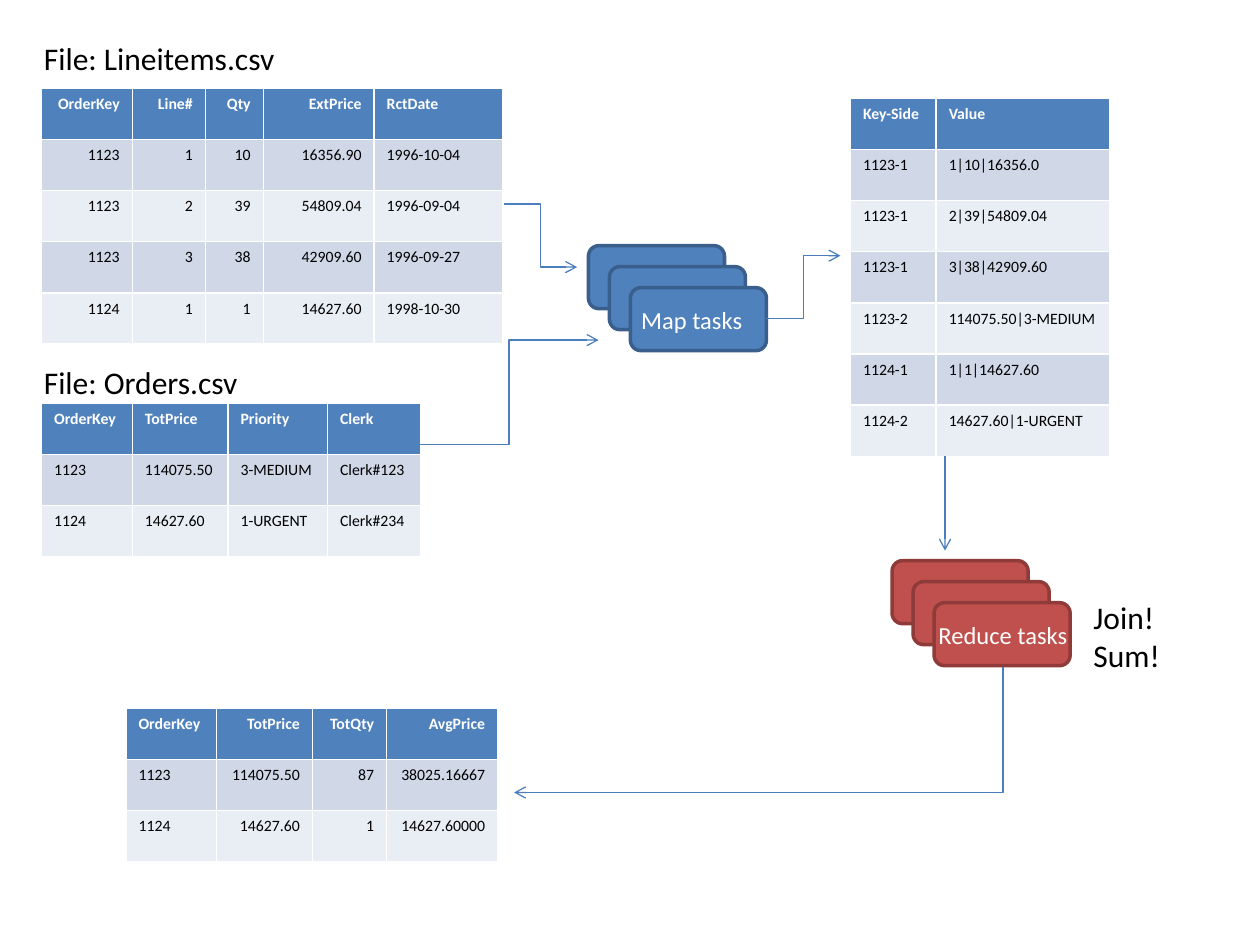
from pptx import Presentation
from pptx.dml.color import RGBColor
from pptx.enum import shapes, text
from pptx.oxml.ns import qn
from pptx.util import Inches, Pt
from lxml import etree

THEME = dict(
    font="Calibri", cell=9, label=14, heading=18,
    white=RGBColor.from_string("FFFFFF"), black=RGBColor.from_string("000000"),
    blue=RGBColor.from_string("4F81BD"), blue_edge=RGBColor.from_string("3A5F8C"),
    red=RGBColor.from_string("C0504D"), red_edge=RGBColor.from_string("8E3B39"),
    band=[RGBColor.from_string("D0D8E8"), RGBColor.from_string("E9EDF4")],
    arrow=RGBColor.from_string("4B7EBC"),
)

prs = Presentation()
prs.slide_width, prs.slide_height = Inches(10), Inches(7.5)
s = prs.slides.add_slide(prs.slide_layouts[6])


def style(p, size, color, bold=False):
    f = p.font
    f.name, f.size, f.bold = THEME["font"], Pt(size), bold
    f.color.rgb = color


def add_text(parent, box, words, size, color):
    tf = parent.add_textbox(*map(Inches, box)).text_frame
    tf.word_wrap = False
    tf.auto_size = text.MSO_AUTO_SIZE.SHAPE_TO_FIT_TEXT
    tf.paragraphs[0].text = words
    style(tf.paragraphs[0], size, color)


# Tables: position, column widths, column alignment, rows (header first)
ROW_HEIGHT = 13 / 32
tables = [
    (0.33, 0.7, [0.72, 0.58, 0.46, 0.88, 1.02], "rrrrl", [
        ["OrderKey", "Line#", "Qty", "ExtPrice", "RctDate"],
        ["1123", "1", "10", "16356.90", "1996-10-04"],
        ["1123", "2", "39", "54809.04", "1996-09-04"],
        ["1123", "3", "38", "42909.60", "1996-09-27"],
        ["1124", "1", "1", "14627.60", "1998-10-30"]]),
    (0.33, 3.2, [0.72, 0.76, 0.79, 0.74], "llll", [
        ["OrderKey", "TotPrice", "Priority", "Clerk"],
        ["1123", "114075.50", "3-MEDIUM", "Clerk#123"],
        ["1124", "14627.60", "1-URGENT", "Clerk#234"]]),
    (6.75, 0.78, [0.68, 1.38], "ll", [
        ["Key-Side", "Value"],
        ["1123-1", "1|10|16356.0"],
        ["1123-1", "2|39|54809.04"],
        ["1123-1", "3|38|42909.60"],
        ["1123-2", "114075.50|3-MEDIUM"],
        ["1124-1", "1|1|14627.60"],
        ["1124-2", "14627.60|1-URGENT"]]),
    (1, 5.62, [0.72, 0.76, 0.59, 0.88], "lrrr", [
        ["OrderKey", "TotPrice", "TotQty", "AvgPrice"],
        ["1123", "114075.50", "87", "38025.16667"],
        ["1124", "14627.60", "1", "14627.60000"]]),
]
for x, y, widths, aligns, rows in tables:
    tbl = s.shapes.add_table(len(rows), len(widths), Inches(x), Inches(y),
                             Inches(sum(widths)), Inches(len(rows) * ROW_HEIGHT)).table
    for col, width in zip(tbl.columns, widths):
        col.width = Inches(width)
    for i, row in enumerate(rows):
        for j, value in enumerate(row):
            cell = tbl.cell(i, j)
            cell.fill.solid()
            cell.fill.fore_color.rgb = THEME["band"][(i - 1) % 2] if i else THEME["blue"]
            p = cell.text_frame.paragraphs[0]
            p.text = value
            if aligns[j] == "r":
                p.alignment = text.PP_ALIGN.RIGHT
            style(p, THEME["cell"], THEME["black" if i else "white"], bold=i == 0)

# Stacks of map and reduce tasks
stacks = [
    (4.67, 1.95, "blue", "Map tasks", (4.99, 2.37, 1.01, 0.34)),
    (7.08, 4.45, "red", "Reduce tasks", (7.35, 4.87, 1.24, 0.34)),
]
for x, y, color, label, label_box in stacks:
    group = s.shapes.add_group_shape()
    for i in range(3):
        sp = group.shapes.add_shape(shapes.MSO_SHAPE.ROUNDED_RECTANGLE,
                                    Inches(x + i / 6), Inches(y + i / 6),
                                    Inches(1.08), Inches(0.5))
        sp.shadow.inherit = False
        sp.fill.solid()
        sp.fill.fore_color.rgb = THEME[color]
        sp.line.color.rgb = THEME[color + "_edge"]
        sp.line.width = Pt(2)
    add_text(group.shapes, label_box, label, THEME["label"], THEME["white"])

# Arrows between the stages; the last is a single bend turned by 90 degrees
ELBOW, STRAIGHT = shapes.MSO_CONNECTOR.ELBOW, shapes.MSO_CONNECTOR.STRAIGHT
arrows = [
    (ELBOW, 4, 1.62, 4.58, 2.12),
    (ELBOW, 3.33, 3.53, 4.75, 2.7),
    (ELBOW, 6.08, 2.53, 6.67, 2.03),
    (STRAIGHT, 7.5, 3.62, 7.5, 4.37),
    (ELBOW, 5.52, 3.85, 6.52, 7.73),
]
for kind, *ends in arrows:
    arrow = s.shapes.add_connector(kind, *map(Inches, ends))
    arrow.line.color.rgb = THEME["arrow"]
    arrow.line.width = Pt(0.75)
    etree.SubElement(arrow.line._get_or_add_ln(), qn("a:tailEnd"), type="arrow")
    etree.SubElement(arrow._element.spPr, qn("a:effectLst"))
result_pr = arrow._element.spPr
result_pr.find(qn("a:xfrm")).set("rot", str(90 * 60000))
result_pr.find(qn("a:prstGeom")).set("prst", "bentConnector2")

# Headings and the join note
for box, words in [
    ((8.58, 4.7, 0.73, 0.71), "Join!\nSum!"),
    ((0.25, 2.83, 1.76, 0.4), "File: Orders.csv"),
    ((0.25, 0.26, 2.05, 0.4), "File: Lineitems.csv"),
]:
    add_text(s.shapes, box, words, THEME["heading"], THEME["black"])

prs.save("out.pptx")
